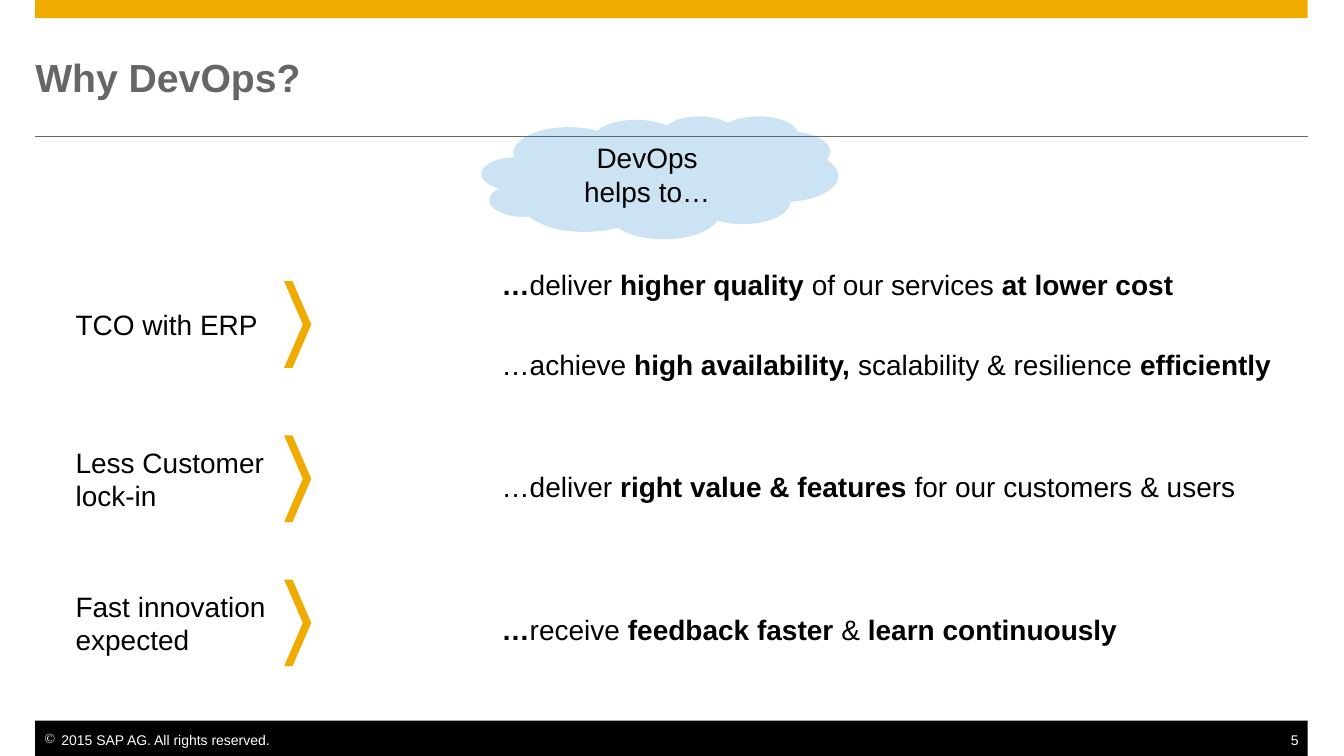
from dataclasses import dataclass

from lxml.etree import SubElement
from pptx import Presentation
from pptx.dml.color import RGBColor
from pptx.enum.shapes import MSO_CONNECTOR, MSO_SHAPE
from pptx.enum.text import MSO_ANCHOR, PP_ALIGN
from pptx.oxml.ns import qn
from pptx.util import Inches, Pt


@dataclass(frozen=True)
class Theme:
    font: str = "Arial"
    gold: str = "F0AB00"
    blue: str = "0076CB"
    gray: str = "666666"
    black: str = "000000"
    white: str = "FFFFFF"
    title_size: int = 28
    body_size: int = 20
    footer_size: int = 10


class SlideBuilder:
    """Hold the theme and the current slide, and draw each kind of element."""

    def __init__(self, deck, theme):
        self.theme = theme
        self.page = deck.slides.add_slide(deck.slide_layouts[5])

    def shape(self, preset, left, top, width, height, color, opacity=None, adjust=None):
        shape = self.page.shapes.add_shape(
            preset, Inches(left), Inches(top), Inches(width), Inches(height))
        shape.shadow.inherit = False
        shape.fill.solid()
        shape.fill.fore_color.rgb = RGBColor.from_string(color)
        shape.line.fill.background()
        if adjust is not None:
            shape.adjustments[0] = adjust
        if opacity is not None:
            color_element = shape._element.spPr.find(qn("a:solidFill"))[0]
            SubElement(color_element, qn("a:alpha"), val=str(opacity * 1000))
        return shape

    def rule(self, left, right, top, color, weight):
        line = self.page.shapes.add_connector(
            MSO_CONNECTOR.STRAIGHT, Inches(left), Inches(top), Inches(right), Inches(top))
        line.line.color.rgb = RGBColor.from_string(color)
        line.line.width = Pt(weight)
        SubElement(line._element.spPr, qn("a:effectLst"))

    def set_text(self, box, paragraphs, insets, size, color,
                 align=PP_ALIGN.LEFT, gap=0, bold=None, wrap=True, bullet=None):
        frame = box.text_frame
        frame.word_wrap = wrap
        frame.vertical_anchor = MSO_ANCHOR.MIDDLE
        (frame.margin_left, frame.margin_top,
         frame.margin_right, frame.margin_bottom) = map(Inches, insets)
        for index, text in enumerate(paragraphs):
            para = frame.add_paragraph() if index else frame.paragraphs[0]
            para.alignment = align
            para.space_before = Pt(gap if index else 0)
            if bullet:
                self.bullet(para, bullet, color)
            para.font.name = self.theme.font
            para.font.size = Pt(size)
            para.font.color.rgb = RGBColor.from_string(color)
            para.font.bold = bold
            if "*" in text:
                self.emphasize(para, text)
            else:
                para.text = text

    def emphasize(self, para, text):
        for index, part in enumerate(text.split("*")):
            if part:
                span = para.add_run()
                span.text = part
                span.font.bold = index % 2 == 1

    def bullet(self, para, character, color):
        properties = para._p.get_or_add_pPr()
        properties.set("marL", str(Inches(0.17)))
        properties.set("indent", str(Inches(-0.17)))
        bullet_color = SubElement(properties, qn("a:buClr"))
        SubElement(bullet_color, qn("a:srgbClr"), val=color)
        SubElement(properties, qn("a:buChar"), char=character)

    def text(self, left, top, width, height, paragraphs, insets, size, color, **style):
        box = self.page.shapes.add_textbox(
            Inches(left), Inches(top), Inches(width), Inches(height))
        self.set_text(box, paragraphs, insets, size, color, **style)

    def title(self, text, left, top, width, height):
        box = self.page.shapes.title
        box.left, box.top, box.width, box.height = map(Inches, (left, top, width, height))
        self.set_text(box, [text], (0, 0, 0, 0), self.theme.title_size, self.theme.gray,
                      bold=True)


def main():
    deck = Presentation()
    deck.slide_width, deck.slide_height = Inches(13.34), Inches(7.5)
    theme = Theme()
    builder = SlideBuilder(deck, theme)
    left, width = 0.35, 12.63

    builder.shape(MSO_SHAPE.RECTANGLE, left, 0, width, 0.18, theme.gold)
    builder.rule(left, left + width, 1.35, theme.gray, 0.5)
    builder.title("Why DevOps?", left, 0.35, width, 0.83)

    builder.shape(MSO_SHAPE.RECTANGLE, left, 7.15, width, 0.35, theme.black)
    builder.text(left, 7.26, 2.37, 0.17, ["2015 SAP AG. All rights reserved."],
                 (0.09, 0, 0, 0), theme.footer_size, theme.white, wrap=False, bullet="©")
    builder.text(12.71, 7.26, 0.27, 0.17, ["5"],
                 (0, 0, 0.09, 0), theme.footer_size, theme.white, align=PP_ALIGN.RIGHT)

    cloud = builder.shape(MSO_SHAPE.CLOUD, 4.78, 1.15, 3.54, 1.22, theme.blue, opacity=20)
    builder.set_text(cloud, ["DevOps\vhelps to…"], (0.1, 0.08, 0.1, 0.08),
                     theme.body_size, theme.black, align=PP_ALIGN.CENTER)

    rows = [
        (3.22, "TCO with ERP", 0.46, 3.22,
         ["*…*deliver* higher quality *of our services *at lower cost*",
          "…achieve* high availability, *scalability & resilience *efficiently*"]),
        (4.75, "Less Customer lock-in", 0.79, 4.82,
         ["…deliver *right value & features *for our customers & users"]),
        (6.18, "Fast innovation expected", 0.79, 6.24,
         ["*…*receive *feedback faster *& *learn continuously*"]),
    ]
    for center, driver, height, benefit_center, benefits in rows:
        builder.text(0.75, center - height / 2, 2.12, height, [driver],
                     (0, 0.06, 0.09, 0.06), theme.body_size, theme.black)
        builder.shape(MSO_SHAPE.CHEVRON, 2.82, center - 0.43, 0.27, 0.86,
                      theme.gold, adjust=0.69)
        builder.text(4.78, benefit_center - 0.65, 8.2, 1.3, benefits,
                     (0.2, 0.12, 0.12, 0.12), theme.body_size, theme.black, gap=33)

    deck.save("out.pptx")


if __name__ == "__main__":
    main()
